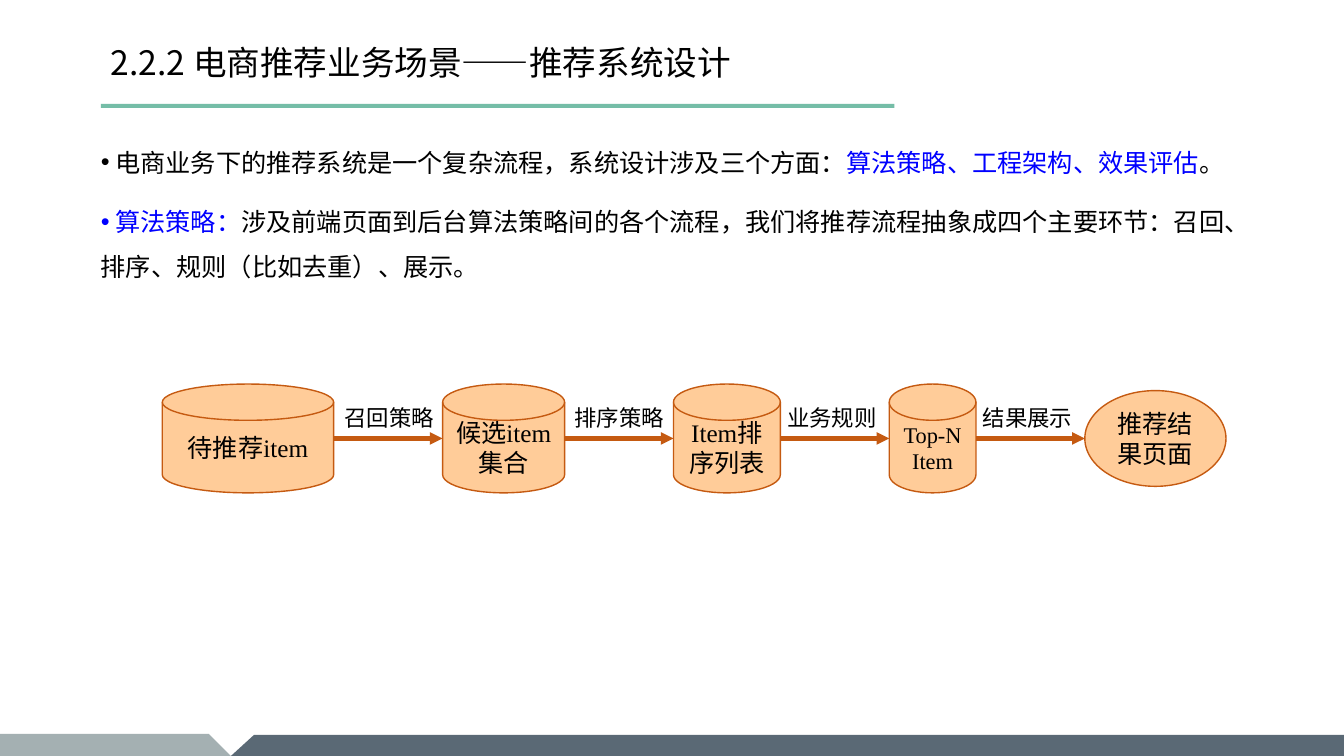
from lxml import etree
from pptx import Presentation
from pptx.dml.color import RGBColor
from pptx.enum.shapes import MSO_CONNECTOR, MSO_SHAPE
from pptx.enum.text import MSO_ANCHOR, PP_ALIGN
from pptx.oxml.ns import qn
from pptx.util import Inches, Pt

DISK = MSO_SHAPE.FLOWCHART_MAGNETIC_DISK
OVAL = MSO_SHAPE.OVAL
LEFT, CENTER = PP_ALIGN.LEFT, PP_ALIGN.CENTER
MIDDLE, TOP = MSO_ANCHOR.MIDDLE, MSO_ANCHOR.TOP

SANS, SERIF = "Noto Sans CJK SC", "Times New Roman"
COLORS = {"text": "000000", "key": "0000FF", "rule": "75BDA7",
          "node": "FFCC99", "flow": "C55A11",
          "band_dark": "243848", "band_light": "7A8C8E"}


def color(name):
    return RGBColor.from_string(COLORS[name])


def write(shape, paragraphs, size=18, font=SERIF, align=CENTER, anchor=MIDDLE,
          inset=None, wrap=True, bullets=False):
    """Fill a shape with paragraphs, each a list of (text, colour name)."""
    frame = shape.text_frame
    frame.word_wrap = wrap
    frame.vertical_anchor = anchor
    if inset is not None:
        frame.margin_left = frame.margin_right = Inches(inset)
        frame.margin_top = frame.margin_bottom = Inches(inset)
    for i, runs in enumerate(paragraphs):
        paragraph = frame.add_paragraph() if i else frame.paragraphs[0]
        paragraph.alignment = align
        if bullets:
            paragraph.line_spacing = 1.5
            paragraph.space_before, paragraph.space_after = Pt(4), Pt(6)
            props = paragraph._p.get_or_add_pPr()
            props.set("marL", str(Inches(0.28)))
            props.set("indent", "0")
            etree.SubElement(props, qn("a:buFont"), typeface="Arial")
            etree.SubElement(props, qn("a:buChar"), char="•")
        for text, name in runs:
            run = paragraph.add_run()
            run.text = text
            run.font.size = Pt(size)
            run.font.name = font
            run.font.color.rgb = color(name)
            etree.SubElement(run._r.get_or_add_rPr(), qn("a:ea"), typeface=SANS)


prs = Presentation()
prs.slide_width, prs.slide_height = Inches(13.33), Inches(7.5)
slide = prs.slides.add_slide(prs.slide_layouts[5])
shapes = slide.shapes

# Footer bands
footer_bands = [
    ("band_dark", 75, [(2.29, 7.5), (2.52, 7.29), (13.33, 7.29), (13.33, 7.5)]),
    ("band_light", 68, [(0, 7.28), (2.07, 7.28), (2.29, 7.5), (0, 7.5)]),
]
for name, opacity, corners in footer_bands:
    points = [(Inches(x), Inches(y)) for x, y in corners]
    builder = shapes.build_freeform(*points[0])
    builder.add_line_segments(points[1:], close=True)
    band = builder.convert_to_shape()
    band.shadow.inherit = False
    band.fill.solid()
    band.fill.fore_color.rgb = color(name)
    band.line.fill.background()
    tint = band.fill._xPr.find(qn("a:solidFill"))[0]
    etree.SubElement(tint, qn("a:alpha"), val=str(opacity * 1000))

# Title and its rule
title = shapes.title
title.left, title.top = Inches(1.05), Inches(0.19)
title.width, title.height = Inches(8.32), Inches(0.86)
write(title, [[("2.2.2 电商推荐业务场景——推荐系统设计", "text")]],
      size=24, font=SANS, align=LEFT, inset=0.05)

rule = shapes.add_shape(MSO_SHAPE.RECTANGLE, Inches(1), Inches(1.03),
                        Inches(7.87), Inches(0.04))
rule.shadow.inherit = False
rule.fill.solid()
rule.fill.fore_color.rgb = color("rule")
rule.line.fill.background()

# Key points
points_box = shapes.add_textbox(Inches(0.67), Inches(1.26), Inches(12), Inches(1.8))
write(points_box, [
    [(" 电商业务下的推荐系统是一个复杂流程，系统设计涉及三个方面：", "text"),
     ("算法策略、工程架构、效果评估", "key"), ("。", "text")],
    [(" 算法策略：", "key"),
     ("涉及前端页面到后台算法策略间的各个流程，我们将推荐流程抽象成四个主要环节："
      "召回、排序、规则（比如去重）、展示。", "text")],
], font=SANS, align=LEFT, anchor=TOP, inset=0.05, bullets=True)

# Recommendation flow: kind, left, width, height, size, lines
FLOW_Y = 4.35
stages = [
    (DISK, 1.61, 1.7, 1.08, 18, ["待推荐item"]),
    (DISK, 4.39, 1.21, 1.08, 18, ["候选item集合"]),
    (DISK, 6.68, 1.06, 1.08, 18, ["Item排序列表"]),
    (DISK, 8.82, 0.86, 1.08, 16, ["Top-N", "Item"]),
    (OVAL, 10.76, 1.4, 0.95, 18, ["推荐结果页面"]),
]
for kind, left, width, height, size, lines in stages:
    stage = shapes.add_shape(kind, Inches(left), Inches(FLOW_Y - height / 2),
                             Inches(width), Inches(height))
    stage.shadow.inherit = False
    stage.fill.solid()
    stage.fill.fore_color.rgb = color("node")
    stage.line.color.rgb = color("flow")
    stage.line.width = Pt(1)
    write(stage, [[(line, "text")] for line in lines], size=size)

# Arrows between neighbouring stages, each with its step label
steps = [("召回策略", 3.32), ("排序策略", 5.6), ("业务规则", 7.71), ("结果展示", 9.65)]
for source, target, (step, label_left) in zip(stages, stages[1:], steps):
    arrow = shapes.add_connector(MSO_CONNECTOR.STRAIGHT,
                                 Inches(source[1] + source[2]), Inches(FLOW_Y),
                                 Inches(target[1]), Inches(FLOW_Y))
    arrow.line.color.rgb = color("flow")
    arrow.line.width = Pt(3)
    etree.SubElement(arrow.line._get_or_add_ln(), qn("a:tailEnd"), type="triangle")
    etree.SubElement(arrow._element.spPr, qn("a:effectLst"))

    label = shapes.add_textbox(Inches(label_left), Inches(3.96),
                               Inches(1.11), Inches(0.37))
    write(label, [[(step, "text")]], size=16, align=LEFT, anchor=TOP, wrap=False)

prs.save("out.pptx")
